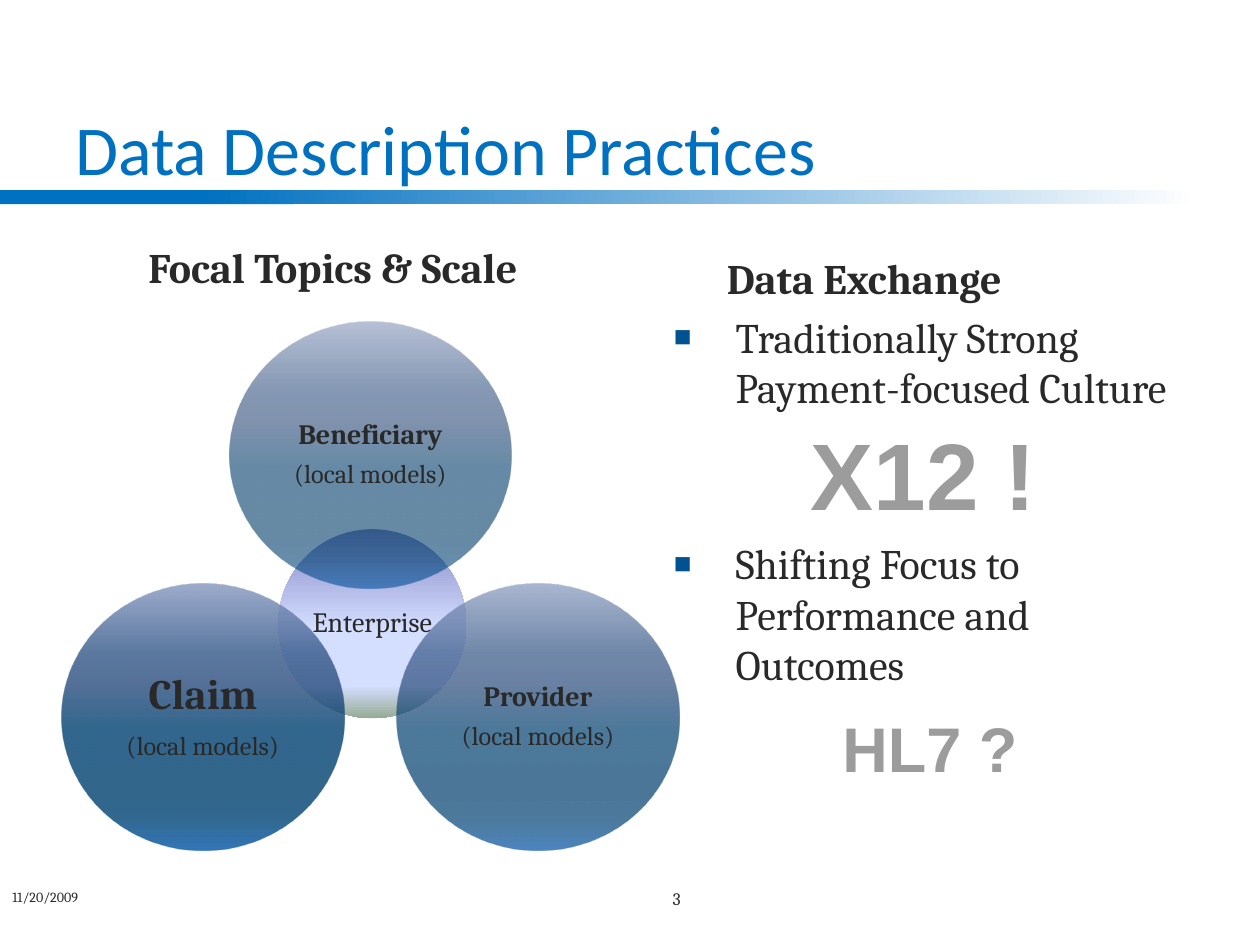
from lxml import etree
from pptx import Presentation
from pptx import util as u
from pptx.dml import color
from pptx.enum import shapes, text
from pptx.oxml import ns

COLORS = {"blue": "0070C0", "white": "FFFFFF", "ink": "292929", "gray": "9C9C9C", "bullet": "005390"}
LEFT, CENTER = text.PP_ALIGN.LEFT, text.PP_ALIGN.CENTER
TOP, MIDDLE, BOTTOM = text.MSO_ANCHOR.TOP, text.MSO_ANCHOR.MIDDLE, text.MSO_ANCHOR.BOTTOM
STOPS = (0, 25, 38, 55, 80, 88, 100)
CIRCLE_SIZE = (161.28, 152.64)
LOWER_TOP = 333.36
MODELS = [
    ("Beneficiary", 16, 131.04, 183.6, 60, "8898BB 375683 2C4A78 003D6A 003D69 00406F 0050A0"),
    ("Provider", 16, 226.8, LOWER_TOP, 70, "8799BE 375887 2B4C7C 00406E 003F6D 004273 0053A5"),
    ("Claim", 24, 35.28, LOWER_TOP, 80, "8799C1 375A8B 2B4E7F 004271 004170 004576 0056AA"),
]


def add_element(parent, tag, **attributes):
    return etree.SubElement(parent, ns.qn(tag), {key: str(value) for key, value in attributes.items()})


def set_gradient(shape, stops, angle, opacity=100):
    shape.fill.background()
    properties = shape._element.spPr
    gradient = etree.Element(ns.qn("a:gradFill"), rotWithShape="1")
    stop_list = add_element(gradient, "a:gsLst")
    for position, value in stops:
        stop = add_element(stop_list, "a:gs", pos=position * 1000)
        stop_color = add_element(stop, "a:srgbClr", val=value)
        if opacity < 100:
            add_element(stop_color, "a:alpha", val=opacity * 1000)
    add_element(gradient, "a:lin", ang=angle * 60000, scaled=0)
    properties.replace(properties.find(ns.qn("a:noFill")), gradient)


def add_plain_shape(slide, kind, *box):
    shape = slide.shapes.add_shape(kind, *map(u.Pt, box))
    shape.shadow.inherit = False
    shape.line.fill.background()
    return shape


def style_paragraph(paragraph, size, bold=False, font="Cambria", ink="ink", align=LEFT):
    paragraph.alignment = align
    for run in paragraph.runs:
        run.font.name = font
        run.font.size = u.Pt(size)
        run.font.bold = bold
        run.font.color.rgb = color.RGBColor.from_string(COLORS[ink])


def add_label(slide, words, box, size, anchor=TOP, **style):
    label = slide.shapes.add_textbox(*map(u.Pt, box))
    frame = label.text_frame
    frame.word_wrap = True
    frame.vertical_anchor = anchor
    frame.text = words
    style_paragraph(frame.paragraphs[0], size, **style)


def add_bullets(slide, items, box, gap):
    frame = slide.shapes.add_textbox(*map(u.Pt, box)).text_frame
    frame.word_wrap = True
    frame.text = "\n".join(items)
    for index, paragraph in enumerate(frame.paragraphs):
        properties = paragraph._p.get_or_add_pPr()
        properties.set("marL", str(u.Pt(35.28)))
        properties.set("indent", str(-u.Pt(35.28)))
        bullet_color = add_element(properties, "a:buClr")
        add_element(bullet_color, "a:srgbClr", val=COLORS["bullet"])
        add_element(properties, "a:buSzPct", val=70000)
        add_element(properties, "a:buFont", typeface="Arial")
        add_element(properties, "a:buChar", char="■")
        if index:
            paragraph.space_before = u.Pt(gap)
        style_paragraph(paragraph, 24)


def add_circle(slide, lines, box, stops, opacity=100):
    circle = add_plain_shape(slide, shapes.MSO_SHAPE.OVAL, *box)
    set_gradient(circle, stops, 90, opacity)
    frame = circle.text_frame
    frame.word_wrap = False
    frame.vertical_anchor = MIDDLE
    frame.margin_left = frame.margin_right = frame.margin_top = frame.margin_bottom = u.Pt(1.5)
    frame.text = "\n".join(words for words, size, bold in lines)
    for paragraph, (words, size, bold) in zip(frame.paragraphs, lines):
        paragraph.line_spacing = 0.9
        paragraph.space_after = u.Pt(size * 0.35)
        style_paragraph(paragraph, size, bold, align=CENTER)


def add_title(slide):
    solid = add_plain_shape(slide, shapes.MSO_SHAPE.RECTANGLE, 0, 108.72, 167.76, 7.92)
    solid.fill.solid()
    solid.fill.fore_color.rgb = color.RGBColor.from_string(COLORS["blue"])
    fade = add_plain_shape(slide, shapes.MSO_SHAPE.RECTANGLE, 113.76, 108.72, 570.24, 7.92)
    set_gradient(fade, [(0, COLORS["blue"]), (100, COLORS["white"])], 0)
    add_label(slide, "Data Description Practices", (36, 21.6, 648, 90), 40, BOTTOM, font="Calibri", ink="blue")


def add_models(slide):
    enterprise_stops = [(0, "8488C4"), (53, "D4DEFF"), (83, "D4DEFF"), (100, "96AB94")]
    add_circle(slide, [("Enterprise", 16, False)], (159.12, 302.4, 107.28, 108), enterprise_stops)
    for name, size, left, top, opacity, shades in MODELS:
        lines = [(name, size, True), ("(local models)", 15, False)]
        add_circle(slide, lines, (left, top, *CIRCLE_SIZE), zip(STOPS, shades.split()), opacity)


def main():
    presentation = Presentation()
    presentation.slide_width, presentation.slide_height = u.Pt(720), u.Pt(540)
    slide = presentation.slides.add_slide(presentation.slide_layouts[6])
    add_title(slide)
    add_label(slide, "Data Exchange", (408.24, 126, 257.76, 50.4), 24, BOTTOM, bold=True)
    bullets = ["Traditionally Strong Payment-focused Culture", "Shifting Focus to Performance and Outcomes"]
    add_bullets(slide, bullets, (378, 174.24, 318.24, 311.04), 72)
    add_label(slide, "Focal Topics & Scale", (77.76, 120.24, 252, 50.4), 24, BOTTOM, bold=True)
    add_label(slide, "11/20/2009", (0, 504, 149.76, 36), 8)
    add_label(slide, "3", (311.76, 504, 149.76, 36), 10, align=CENTER)
    add_models(slide)
    standard = {"font": "Arial", "ink": "gray", "bold": True, "align": CENTER}
    add_label(slide, "X12 !", (455.76, 234, 144, 72.72), 54, **standard)
    add_label(slide, "HL7 ?", (462.24, 401.76, 138.24, 51.12), 36, **standard)
    presentation.save("out.pptx")


if __name__ == "__main__":
    main()
